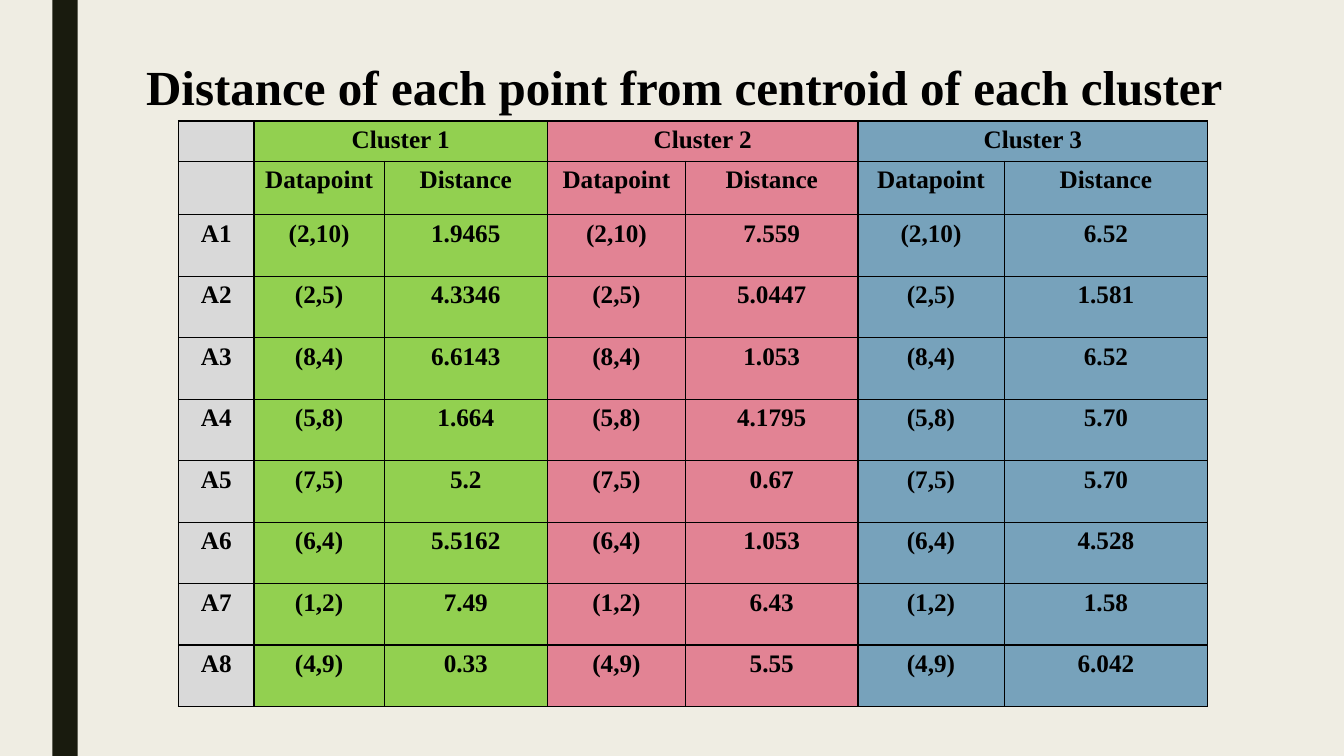
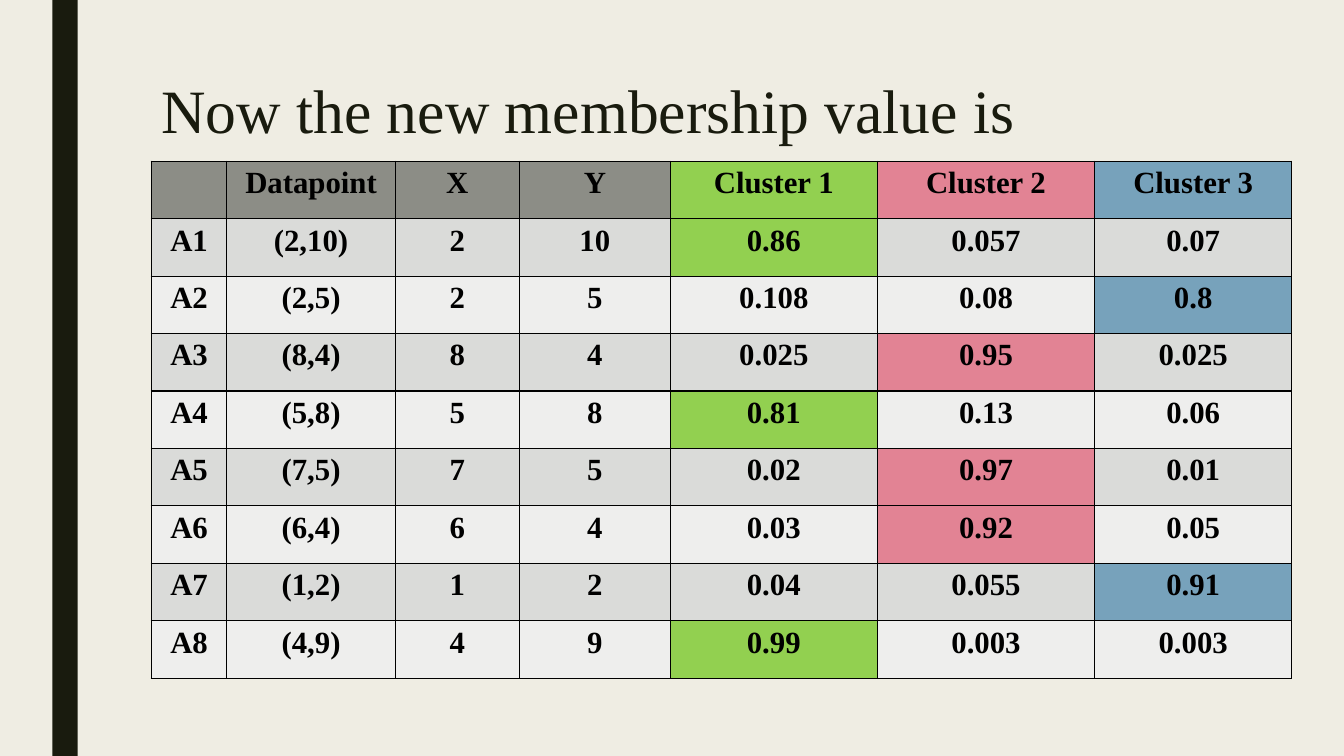
from lxml import etree
from pptx import Presentation
from pptx.dml.color import RGBColor
from pptx.enum.shapes import MSO_SHAPE
from pptx.enum.text import MSO_ANCHOR, PP_ALIGN
from pptx.oxml.ns import qn
from pptx.util import Inches, Pt

RECT = MSO_SHAPE.RECTANGLE
TOP = MSO_ANCHOR.TOP
LEFT, CENTER = PP_ALIGN.LEFT, PP_ALIGN.CENTER

FONT = "Times New Roman"
COLORS = {
    "background": "EFEDE3",
    "band": "191B0E",
    "black": "000000",
    "label": "D9D9D9",
    "header": "8C8D86",
    "odd": "DADBD9",
    "even": "EEEEED",
    "Cluster 1": "92D050",
    "Cluster 2": "E28394",
    "Cluster 3": "77A2BB",
}
CLUSTERS = ["Cluster 1", "Cluster 2", "Cluster 3"]

POINTS = [(2, 10), (2, 5), (8, 4), (5, 8), (7, 5), (6, 4), (1, 2), (4, 9)]
DISTANCES = [
    ("1.9465", "7.559", "6.52"),
    ("4.3346", "5.0447", "1.581"),
    ("6.6143", "1.053", "6.52"),
    ("1.664", "4.1795", "5.70"),
    ("5.2", "0.67", "5.70"),
    ("5.5162", "1.053", "4.528"),
    ("7.49", "6.43", "1.58"),
    ("0.33", "5.55", "6.042"),
]
MEMBERSHIPS = [
    ("0.86", "0.057", "0.07"),
    ("0.108", "0.08", "0.8"),
    ("0.025", "0.95", "0.025"),
    ("0.81", "0.13", "0.06"),
    ("0.02", "0.97", "0.01"),
    ("0.03", "0.92", "0.05"),
    ("0.04", "0.055", "0.91"),
    ("0.99", "0.003", "0.003"),
]

DISTANCE_SLIDE = {
    "title": "Distance of each point from centroid of each cluster",
    "title_box": (1.35, 0.51, 11.98, 0.69),
    "title_font": {"size": Pt(35), "bold": True},
    "title_color": "black",
    "line_spacing": 1.0,
    "origin": (1.77, 1.2),
    "cols": [0.75, 1.29, 1.62, 1.37, 1.71, 1.45, 2.02],
    "rows": [0.4, 0.53] + [0.61] * len(POINTS),
    "size": 18,
    "merges": [(0, 1, 2), (0, 3, 4), (0, 5, 6)],
}
MEMBERSHIP_SLIDE = {
    "title": "Now the new membership value is",
    "title_box": (1.5, 0.75, 10.5, 0.85),
    "title_font": {"size": Pt(44), "bold": False},
    "title_color": "band",
    "line_spacing": 0.89,
    "origin": (1.5, 1.6),
    "cols": [0.75, 1.67, 1.23, 1.5, 2.05, 2.16, 1.95],
    "rows": [0.57] * (len(POINTS) + 1),
    "size": 22,
    "merges": [],
}


def rgb(name):
    return RGBColor.from_string(COLORS[name])


def distance_cells():
    names = [("", "label")]
    heads = [("", "label")]
    for cluster in CLUSTERS:
        names += [(cluster, cluster), ("", cluster)]
        heads += [("Datapoint", cluster), ("Distance", cluster)]
    grid = [names, heads]
    for i, ((x, y), values) in enumerate(zip(POINTS, DISTANCES), 1):
        row = [(f"A{i}", "label")]
        for cluster, value in zip(CLUSTERS, values):
            row += [(f"({x},{y})", cluster), (value, cluster)]
        grid.append(row)
    return grid


def membership_cells():
    heads = [(text, "header") for text in ("", "Datapoint", "X", "Y")]
    grid = [heads + [(cluster, cluster) for cluster in CLUSTERS]]
    for i, ((x, y), values) in enumerate(zip(POINTS, MEMBERSHIPS), 1):
        shade = "odd" if i % 2 else "even"
        row = [(text, shade) for text in (f"A{i}", f"({x},{y})", str(x), str(y))]
        best = max(values, key=float)
        row += [(v, c if v == best else shade) for c, v in zip(CLUSTERS, values)]
        grid.append(row)
    return grid


def write(tf, text, color, align, formats):
    p = tf.paragraphs[0]
    p.alignment = align
    r = p.add_run()
    r.text = text
    for name, value in {"name": FONT, **formats}.items():
        setattr(r.font, name, value)
    r.font.color.rgb = rgb(color)
    return p


def add_borders(cell):
    tc_pr = cell._tc.get_or_add_tcPr()
    for side in ("lnL", "lnR", "lnT", "lnB"):
        ln = etree.SubElement(tc_pr, qn(f"a:{side}"), w=str(Pt(1)))
        fill = etree.SubElement(ln, qn("a:solidFill"))
        etree.SubElement(fill, qn("a:srgbClr"), val=COLORS["black"])


def add_band(s):
    sp = s.shapes.add_shape(RECT, Inches(0.52), 0, Inches(0.25), Inches(7.5))
    sp.shadow.inherit = False
    sp.fill.solid()
    sp.fill.fore_color.rgb = rgb("band")
    sp.line.fill.background()


def add_title(s, data):
    tf = s.shapes.add_textbox(*map(Inches, data["title_box"])).text_frame
    tf.word_wrap = True
    tf.vertical_anchor = TOP
    p = write(tf, data["title"], data["title_color"], LEFT, data["title_font"])
    p.line_spacing = data["line_spacing"]


def add_grid(s, data, grid):
    cols, rows = data["cols"], data["rows"]
    box = (*data["origin"], sum(cols), sum(rows))
    table = s.shapes.add_table(len(rows), len(cols), *map(Inches, box)).table
    table.first_row = table.horz_banding = False
    for column, width in zip(table.columns, cols):
        column.width = Inches(width)
    for row, height in zip(table.rows, rows):
        row.height = Inches(height)
    for i, line in enumerate(grid):
        for j, (text, color) in enumerate(line):
            cell = table.cell(i, j)
            add_borders(cell)
            cell.fill.solid()
            cell.fill.fore_color.rgb = rgb(color)
            if text:
                formats = {"size": Pt(data["size"]), "bold": True}
                write(cell.text_frame, text, "black", CENTER, formats)
    for i, first, last in data["merges"]:
        table.cell(i, first).merge(table.cell(i, last))


def main():
    prs = Presentation()
    prs.slide_width, prs.slide_height = Inches(13.33), Inches(7.5)
    background = prs.slide_master.background.fill
    background.solid()
    background.fore_color.rgb = rgb("background")
    slides = [
        (DISTANCE_SLIDE, distance_cells()),
        (MEMBERSHIP_SLIDE, membership_cells()),
    ]
    for data, grid in slides:
        s = prs.slides.add_slide(prs.slide_layouts[6])
        add_band(s)
        add_title(s, data)
        add_grid(s, data, grid)
    prs.save("out.pptx")


if __name__ == "__main__":
    main()
